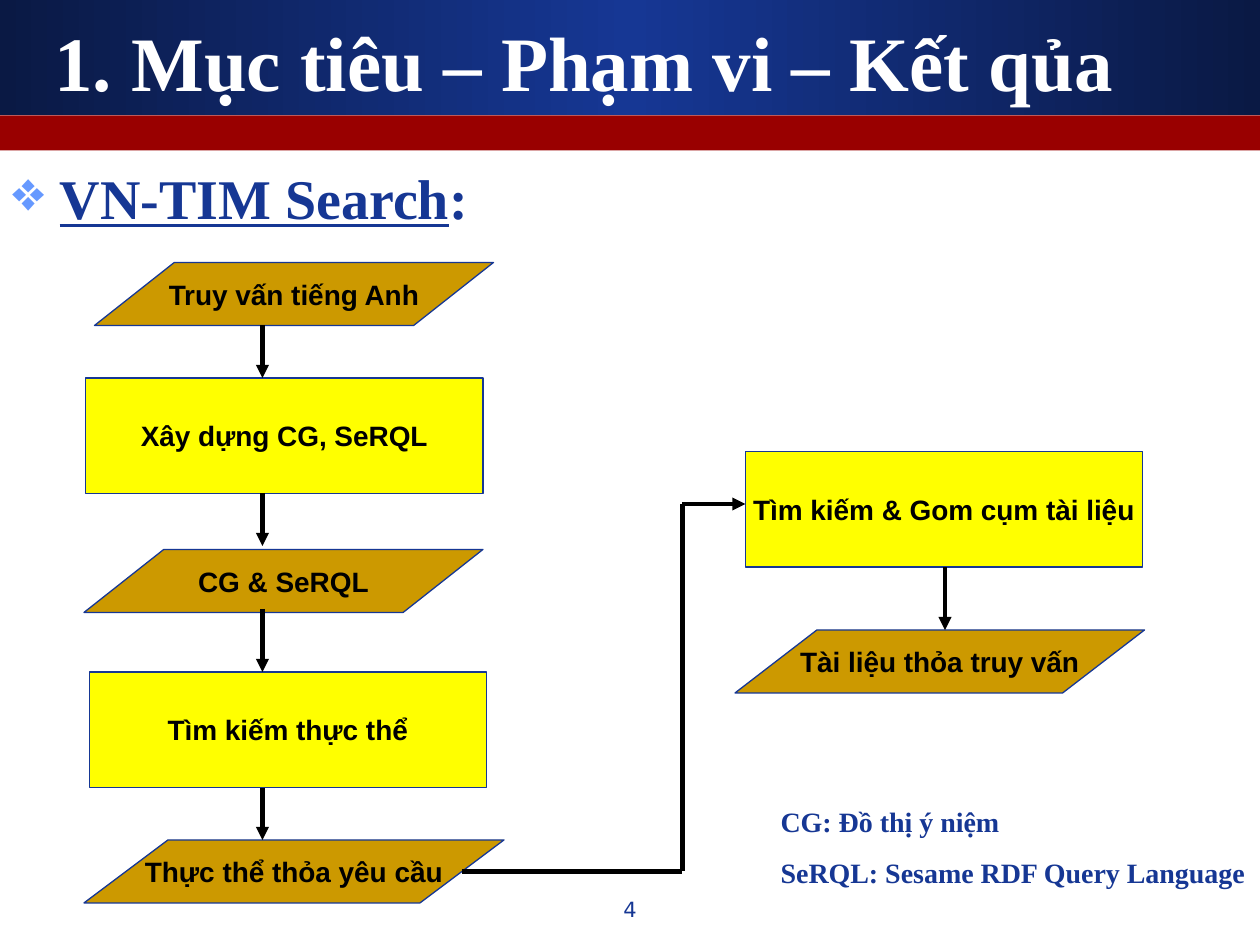
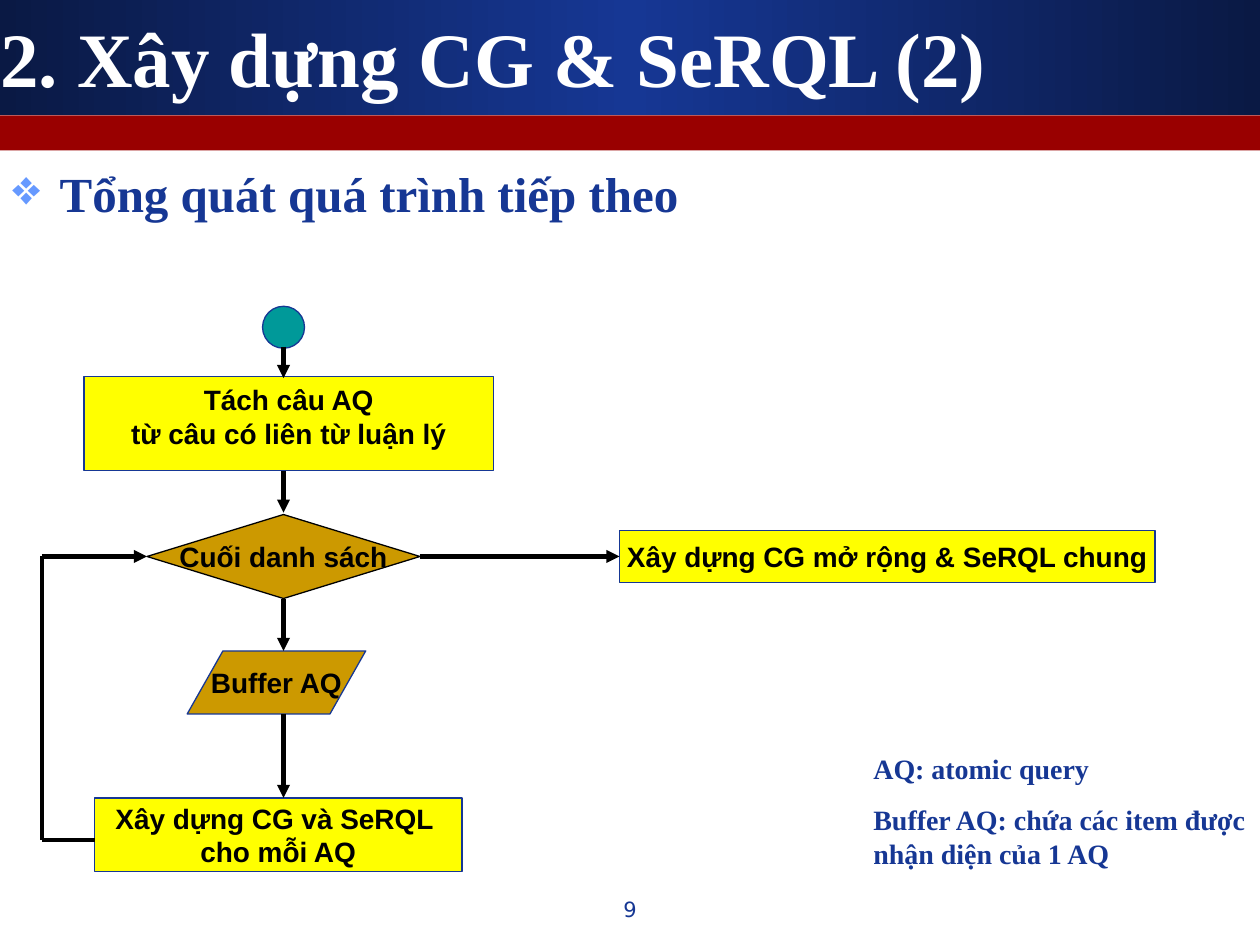
from copy import deepcopy
from itertools import pairwise

from lxml import etree
from pptx import Presentation
from pptx.dml.color import RGBColor
from pptx.enum import shapes, text
from pptx.oxml.ns import qn
from pptx.util import Pt

NAVY = RGBColor(0x0A, 0x19, 0x44)
BLUE = RGBColor(0x16, 0x37, 0x94)
RED = RGBColor(0x99, 0x00, 0x00)
GOLD = RGBColor(0xCC, 0x99, 0x00)
YELLOW = RGBColor(0xFF, 0xFF, 0x00)
TEAL = RGBColor(0x00, 0x99, 0x99)
BLACK = RGBColor(0x00, 0x00, 0x00)
WHITE = RGBColor(0xFF, 0xFF, 0xFF)
BULLET_BLUE = "6699FF"

SERIF, SANS, NUMBER_FONT = "Times New Roman", "Arial", "DejaVu Sans"
WIDTH, HEIGHT = 720, 540
BLUE_BAND, RED_BAND = 66, 20
HEADING_INDENT = 27

# Node kinds: preset shape, fill, outline
KIND = shapes.MSO_SHAPE
NODE_STYLES = {
    "data": (KIND.FLOWCHART_DATA, GOLD, BLUE),
    "process": (KIND.FLOWCHART_PROCESS, YELLOW, BLUE),
    "decision": (KIND.FLOWCHART_DECISION, GOLD, BLACK),
    "start": (KIND.FLOWCHART_CONNECTOR, TEAL, BLUE),
}

# Content: nodes are (kind, lines, box); a route's last leg carries the
# arrowhead; heading runs are (words, underlined)
SLIDES = [
    {
        "title": "1. Mục tiêu – Phạm vi – Kết qủa",
        "title_box": (24, 12, 666, 45),
        "heading": [("VN-TIM Search", True), (":", False)],
        "heading_size": 32,
        "nodes": [
            ("data", ["Truy vấn tiếng Anh"], (54, 150, 228, 36)),
            ("process", ["Xây dựng CG, SeRQL"], (49, 216, 227, 66)),
            ("data", ["CG & SeRQL"], (48, 314, 228, 36)),
            ("process", ["Tìm kiếm thực thể"], (51, 384, 227, 66)),
            ("data", ["Thực thể thỏa yêu cầu"], (48, 480, 240, 36)),
            ("process", ["Tìm kiếm & Gom cụm tài liệu"], (426, 258, 227, 66)),
            ("data", ["Tài liệu thỏa truy vấn"], (420, 360, 234, 36)),
        ],
        "routes": [
            [(150, 186), (150, 216)],
            [(150, 282), (150, 312)],
            [(150, 348), (150, 384)],
            [(150, 450), (150, 480)],
            [(540, 324), (540, 360)],
            [(264, 498), (390, 498), (390, 288), (426, 288)],
        ],
        "notes": ["CG: Đồ thị ý niệm", "SeRQL: Sesame RDF Query Language"],
        "notes_box": (439, 456, 294, 55),
        "number": "4",
    },
    {
        "title": "2. Xây dựng CG & SeRQL (2)",
        "title_box": (-7, 10, 727, 45),
        "heading": [("Tổng quát quá trình tiếp theo", False)],
        "heading_size": 28,
        "nodes": [
            ("process", ["Xây dựng CG mở rộng & SeRQL chung"], (354, 303, 306, 30)),
            ("process", ["Tách câu AQ", "từ câu có liên từ luận lý"], (48, 215, 234, 54)),
            ("data", ["Buffer AQ"], (107, 372, 102, 36)),
            ("decision", ["Cuối danh sách"], (84, 294, 156, 48)),
            ("process", ["Xây dựng CG và SeRQL ", "cho mỗi AQ"], (54, 456, 210, 42)),
            ("start", [], (150, 175, 24, 24)),
        ],
        "top_anchored": "Tách câu AQ",
        "routes": [
            [(162, 198), (162, 216)],
            [(162, 269), (162, 293)],
            [(162, 342), (162, 372)],
            [(162, 408), (162, 456)],
            [(240, 318), (354, 318)],
            [(54, 480), (24, 480), (24, 318), (84, 318)],
        ],
        "notes": ["AQ: atomic query", "Buffer AQ: chứa các item được nhận diện của 1 AQ"],
        "notes_box": (492, 426, 228, 75),
        "number": "9",
    },
]


def points(values):
    return [Pt(value) for value in values]


def write(frame, lines, font_name, size, color, bold=True, align=None, before=0):
    """Fill a text frame with one paragraph per line."""
    for index, line in enumerate(lines):
        paragraph = frame.add_paragraph() if index else frame.paragraphs[0]
        paragraph.text = line
        paragraph.alignment = align
        paragraph.space_before = Pt(before)
        font = paragraph.font
        font.name, font.size, font.bold = font_name, Pt(size), bold
        font.color.rgb = color


def add_text(slide, box, lines, *style, **options):
    frame = slide.shapes.add_textbox(*points(box)).text_frame
    frame.word_wrap = True
    write(frame, lines, *style, **options)
    return frame


def add_filled(slide, preset, box, color):
    shape = slide.shapes.add_shape(preset, *points(box))
    shape.shadow.inherit = False
    shape.fill.solid()
    shape.fill.fore_color.rgb = color
    shape.line.fill.background()
    return shape


def add_bands(slide):
    band = add_filled(slide, KIND.RECTANGLE, (0, 0, WIDTH, BLUE_BAND), NAVY)
    band.fill.gradient()
    band.fill.gradient_angle = 0
    for stop in band.fill.gradient_stops:
        stop.color.rgb = NAVY
    # A third, lighter stop halfway across
    first = band.element.spPr.find(".//" + qn("a:gs"))
    first.addnext(deepcopy(first))
    for stop, position in zip(band.fill.gradient_stops, (0, 0.5, 1)):
        stop.position = position
    band.fill.gradient_stops[1].color.rgb = BLUE
    add_filled(slide, KIND.RECTANGLE, (0, BLUE_BAND, WIDTH, RED_BAND), RED)


def add_heading(slide, runs, size):
    frame = add_text(slide, (0, 90, 708, 420), [""], SERIF, size, BLUE, before=size / 4)
    paragraph = frame.paragraphs[0]
    for words, underlined in runs:
        run = paragraph.add_run()
        run.text = words
        run.font.underline = underlined
    # Diamond bullet with a hanging indent
    properties = paragraph._p.get_or_add_pPr()
    properties.set("marL", str(Pt(HEADING_INDENT)))
    properties.set("indent", str(-Pt(HEADING_INDENT)))
    bullet_color = etree.Element(qn("a:buClr"))
    etree.SubElement(bullet_color, qn("a:srgbClr"), val=BULLET_BLUE)
    bullet = etree.Element(qn("a:buChar"), char="❖")
    properties.find(qn("a:spcBef")).addnext(bullet_color)
    bullet_color.addnext(bullet)


def add_node(slide, kind, lines, box, anchor):
    preset, fill, outline = NODE_STYLES[kind]
    shape = add_filled(slide, preset, box, fill)
    shape.line.color.rgb = outline
    shape.line.width = Pt(0.75)
    frame = shape.text_frame
    frame.word_wrap = False
    frame.vertical_anchor = anchor
    write(frame, lines, SANS, 16, BLACK, align=text.PP_ALIGN.CENTER)


def add_route(slide, route):
    for start, end in pairwise(route):
        connector = slide.shapes.add_connector(
            shapes.MSO_CONNECTOR.STRAIGHT, *points(start + end))
        connector.line.color.rgb = BLACK
        connector.line.width = Pt(2.5)
        etree.SubElement(connector.element.spPr, qn("a:effectLst"))
    etree.SubElement(connector.line._get_or_add_ln(), qn("a:tailEnd"), type="triangle")


def build_slide(presentation, content):
    slide = presentation.slides.add_slide(presentation.slide_layouts[6])
    add_bands(slide)
    title = add_text(slide, content["title_box"], [content["title"]], SERIF, 44, WHITE)
    title.vertical_anchor = text.MSO_ANCHOR.MIDDLE
    add_heading(slide, content["heading"], content["heading_size"])

    # Flowchart
    for kind, lines, box in content["nodes"]:
        at_top = content.get("top_anchored") in lines
        anchor = text.MSO_ANCHOR.TOP if at_top else text.MSO_ANCHOR.MIDDLE
        add_node(slide, kind, lines, box, anchor)
    for route in content["routes"]:
        add_route(slide, route)

    # Abbreviations and slide number
    add_text(slide, content["notes_box"], content["notes"], SERIF, 16, BLUE, before=10)
    add_text(slide, (276, 509, 168, 25), [content["number"]], NUMBER_FONT, 12, BLUE,
             bold=False, align=text.PP_ALIGN.CENTER)


def main():
    presentation = Presentation()
    presentation.slide_width, presentation.slide_height = points((WIDTH, HEIGHT))
    for content in SLIDES:
        build_slide(presentation, content)
    presentation.save("out.pptx")


if __name__ == "__main__":
    main()
